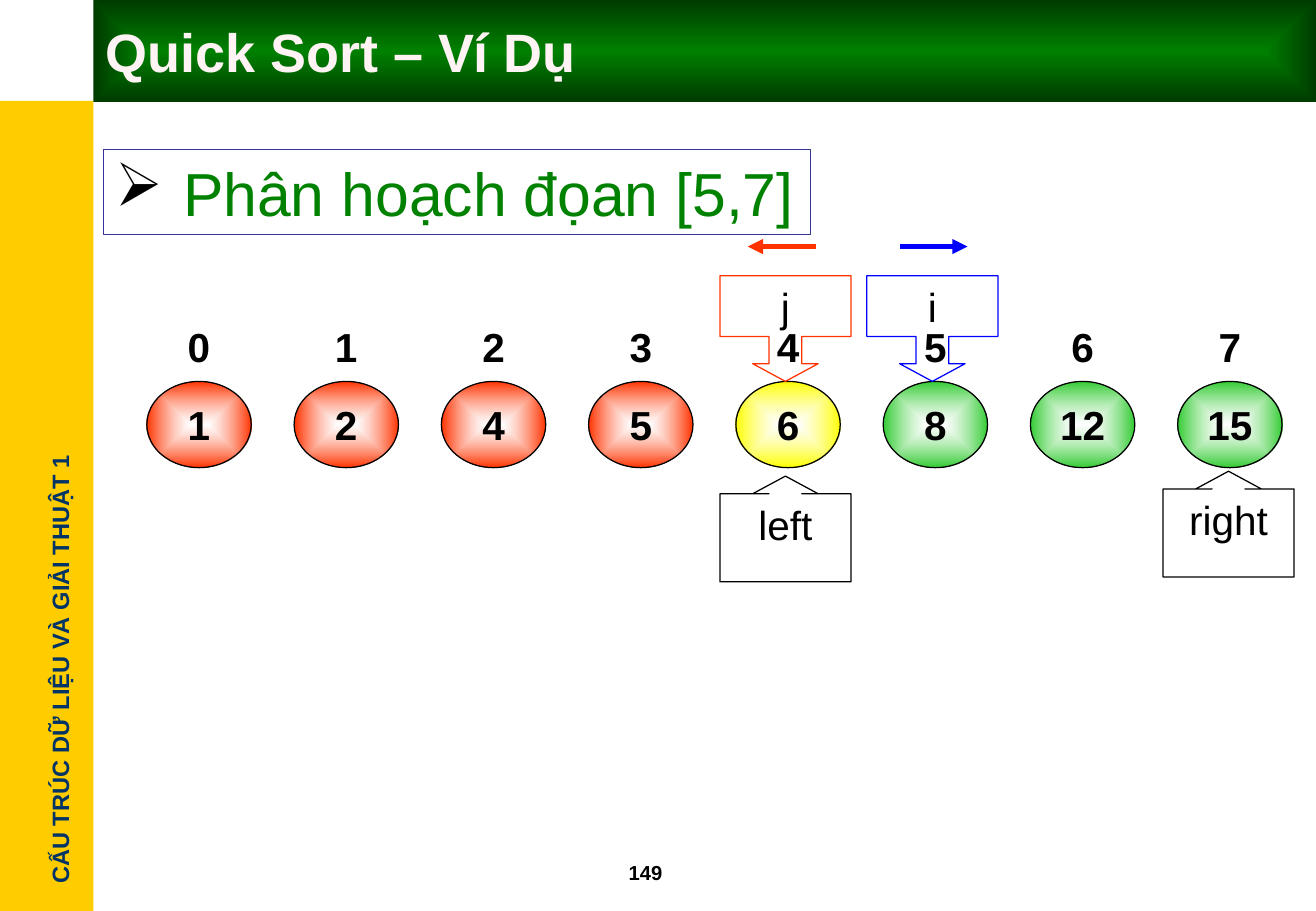
"""Builds the Quick Sort slide that partitions the range [5,7]."""
from pptx import Presentation
from pptx.dml.color import RGBColor
from pptx.enum.shapes import MSO_CONNECTOR as Connector, MSO_SHAPE as Shape
from pptx.enum.text import MSO_ANCHOR as Anchor, PP_ALIGN as Align
from pptx.oxml import parse_xml
from pptx.oxml.ns import nsdecls
from pptx.util import Inches, Pt

BLACK = RGBColor(0x00, 0x00, 0x00)
WHITE = RGBColor(0xFF, 0xFF, 0xFF)
RED = RGBColor(0xFF, 0x33, 0x00)
YELLOW = RGBColor(0xFF, 0xFF, 0x00)
GREEN = RGBColor(0x33, 0xCC, 0x33)
BLUE = RGBColor(0x00, 0x00, 0xFF)
GOLD = RGBColor(0xFF, 0xCC, 0x00)
NAVY = RGBColor(0x00, 0x33, 0x66)
INDIGO = RGBColor(0x33, 0x33, 0x99)
BAR_CENTRE = RGBColor(0x00, 0x80, 0x00)
BAR_EDGE = RGBColor(0x00, 0x3B, 0x00)
TITLE_TEXT = RGBColor(0xFF, 0xF3, 0xF3)
TOPIC_TEXT = RGBColor(0x00, 0x82, 0x00)

TITLE = {"size": Pt(32), "bold": True}
TOPIC = {"size": Pt(36), "bold": False}
VALUE = {"size": Pt(24), "bold": True}
POINTER = {"size": Pt(24), "bold": False}
COURSE = {"size": Pt(14), "bold": True}
PAGE = {"size": Pt(12), "bold": True}

VALUES = [1, 2, 4, 5, 6, 8, 12, 15]
CELL_COLORS = [RED] * 4 + [YELLOW] + [GREEN] * 3
CELL_LEFT, CELL_STEP = 1.21, 1.213
CELL_WIDTH, CELL_HEIGHT = 0.86, 0.71
CALLOUT_SIZE = (1.08, 0.87)


class SlideBuilder:
    """Holds the style and the current slide, and adds each kind of element."""

    def __init__(self, slide, font_name="Arial"):
        self.slide = slide
        self.font_name = font_name

    def put_text(self, element, text, style, color=BLACK, align=Align.LEFT, anchor=Anchor.TOP):
        """Puts one styled paragraph into an element and returns it."""
        frame = element.text_frame
        frame.word_wrap = True
        frame.vertical_anchor = anchor
        paragraph = frame.paragraphs[0]
        paragraph.alignment = align
        run = paragraph.add_run()
        run.text = text
        for name, value in {"name": self.font_name, **style}.items():
            setattr(run.font, name, value)
        run.font.color.rgb = color
        return paragraph

    def shape(self, kind, box, fill=None, line=None):
        """Adds a preset shape with an optional fill and outline."""
        shape = self.slide.shapes.add_shape(kind, *map(Inches, box))
        shape.shadow.inherit = False
        if fill is None:
            shape.fill.background()
        else:
            shape.fill.solid()
            shape.fill.fore_color.rgb = fill
        if line is None:
            shape.line.fill.background()
        else:
            shape.line.color.rgb = line
            shape.line.width = Pt(0.75)
        return shape

    def glow(self, shape, centre, edge, opacity=100):
        """Replaces a fill by a gradient running from the centre outwards."""
        gradient = parse_xml(
            f'<a:gradFill {nsdecls("a")} rotWithShape="1"><a:gsLst>'
            f'<a:gs pos="0"><a:srgbClr val="{centre}"><a:alpha val="{opacity * 1000}"/></a:srgbClr></a:gs>'
            f'<a:gs pos="100000"><a:srgbClr val="{edge}"/></a:gs></a:gsLst>'
            '<a:path path="rect"><a:fillToRect l="50000" t="50000" r="50000" b="50000"/></a:path>'
            '</a:gradFill>')
        properties = shape._element.spPr
        properties.replace(properties.find("{*}noFill"), gradient)

    def label(self, box, text, style, color=BLACK, rotation=0):
        """Adds a text box."""
        label = self.slide.shapes.add_textbox(*map(Inches, box))
        label.rotation = rotation
        self.put_text(label, text, style, color)
        return label

    def callout(self, kind, left, top, text, line, body):
        """Adds an arrow callout that points at a cell."""
        callout = self.shape(kind, (left, top, *CALLOUT_SIZE), line=line)
        for position, value in enumerate((0.31, 0.31, 0.167, body)):
            callout.adjustments[position] = value
        self.put_text(callout, text, POINTER, align=Align.CENTER)

    def arrow(self, start, end, y, color):
        """Adds a horizontal arrow."""
        arrow = self.slide.shapes.add_connector(
            Connector.STRAIGHT, *map(Inches, (start, y, end, y)))
        arrow.line.color.rgb = color
        arrow.line.width = Pt(3)
        arrow.line._get_or_add_ln().append(
            parse_xml(f'<a:tailEnd {nsdecls("a")} type="triangle"/>'))
        arrow._element.spPr.append(parse_xml(f'<a:effectLst {nsdecls("a")}/>'))

    def bullet(self, paragraph, symbol, indent):
        """Gives a paragraph a black bullet and a hanging indent."""
        properties = paragraph._p.get_or_add_pPr()
        properties.set("marL", str(Inches(indent)))
        properties.set("indent", str(-Inches(indent)))
        for content in (f'<a:buClr {nsdecls("a")}><a:srgbClr val="{BLACK}"/></a:buClr>',
                        f'<a:buChar {nsdecls("a")} char="{symbol}"/>'):
            properties.append(parse_xml(content))


def main():
    """Builds and saves the slide."""
    deck = Presentation()
    deck.slide_width, deck.slide_height = Inches(10.84), Inches(7.5)
    builder = SlideBuilder(deck.slides.add_slide(deck.slide_layouts[6]))

    builder.shape(Shape.RECTANGLE, (0, 0.83, 0.77, 6.67), GOLD)
    builder.label((-1.37, 5.34, 3.73, 0.34), "CẤU TRÚC DỮ LIỆU VÀ GIẢI THUẬT 1",
                  COURSE, NAVY, 270).text_frame.word_wrap = False
    builder.label((5.08, 7.03, 0.83, 0.3), "149", PAGE)
    title_bar = builder.shape(Shape.RECTANGLE, (0.77, 0, 10.07, 0.84))
    builder.glow(title_bar, BAR_CENTRE, BAR_EDGE)
    builder.put_text(title_bar, "Quick Sort – Ví Dụ", TITLE, TITLE_TEXT, anchor=Anchor.MIDDLE)

    for index, (value, color) in enumerate(zip(VALUES, CELL_COLORS)):
        left = CELL_LEFT + index * CELL_STEP
        cell = builder.shape(Shape.OVAL, (left, 3.14, CELL_WIDTH, CELL_HEIGHT), line=BLACK)
        builder.glow(cell, WHITE, color, 60)
        builder.put_text(cell, str(value), VALUE, align=Align.CENTER)
        position = builder.shape(Shape.OVAL, (left, 2.5, CELL_WIDTH, CELL_HEIGHT))
        builder.put_text(position, str(index), VALUE, align=Align.CENTER)

    for left, top, bound in ((5.93, 3.92, "left"), (9.58, 3.88, "right")):
        builder.callout(Shape.UP_ARROW_CALLOUT, left, top, bound, BLACK, 0.851)
    for left, cursor, color, start, end in ((7.14, "i", BLUE, 7.41, 7.97),
                                            (5.93, "j", RED, 6.72, 6.16)):
        builder.callout(Shape.DOWN_ARROW_CALLOUT, left, 2.27, cursor, color, 0.575)
        builder.arrow(start, end, 2.03, color)

    topic_box = builder.shape(Shape.RECTANGLE, (0.85, 1.23, 5.83, 0.7), line=INDIGO)
    topic = builder.put_text(topic_box, "Phân hoạch đọan [5,7]", TOPIC, TOPIC_TEXT)
    builder.bullet(topic, "➢", 0.56)
    deck.save("out.pptx")


if __name__ == "__main__":
    main()
